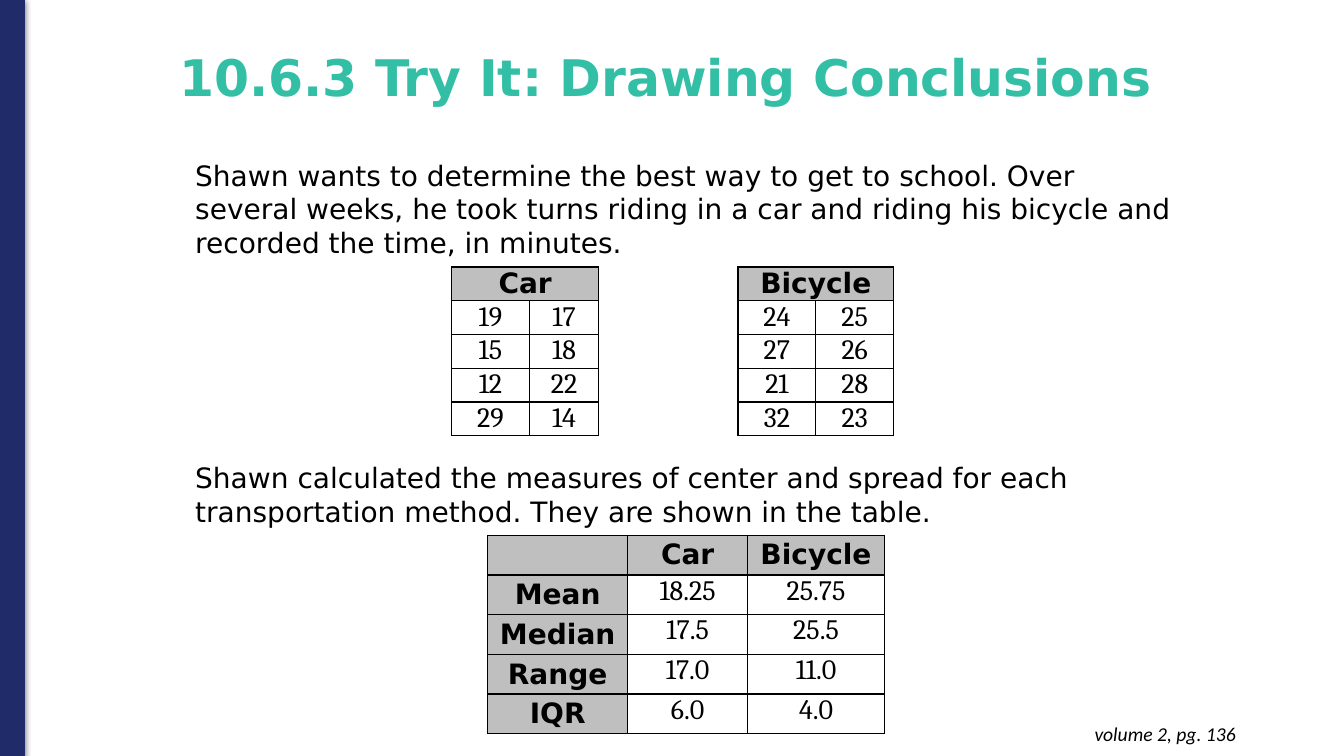
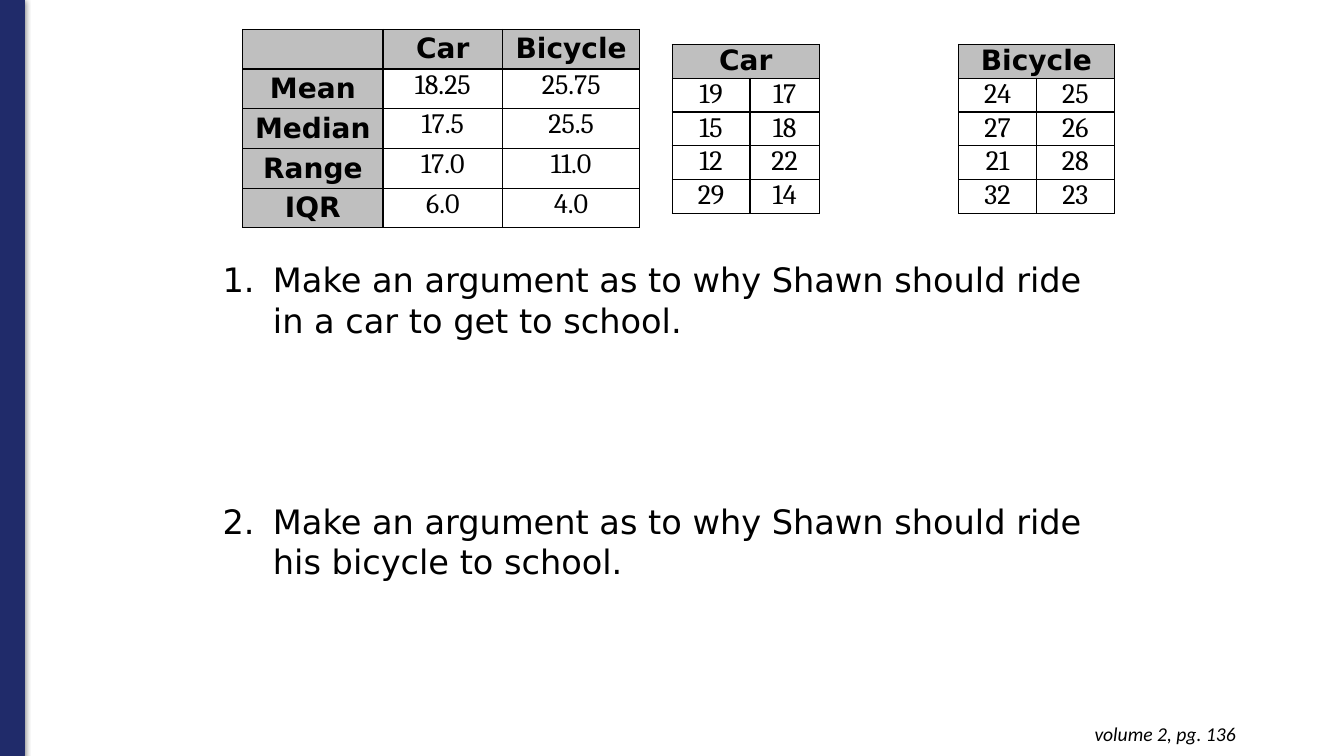
from dataclasses import dataclass

from lxml import etree
from pptx import Presentation
from pptx.dml.color import RGBColor
from pptx.enum.shapes import MSO_SHAPE
from pptx.enum.text import MSO_ANCHOR, PP_ALIGN
from pptx.oxml import parse_xml
from pptx.oxml.ns import nsdecls, qn
from pptx.util import Cm, Pt

# Shared style
NAVY = RGBColor(0x20, 0x2B, 0x6A)
TEAL = RGBColor(0x33, 0xBE, 0xA6)
GRAY = RGBColor(0xBF, 0xBF, 0xBF)
BLACK = RGBColor(0, 0, 0)
SANS, SERIF, FOOTER_FONT = "DejaVu Sans", "Cambria", "Calibri"
LEFT, CENTER, RIGHT = PP_ALIGN.LEFT, PP_ALIGN.CENTER, PP_ALIGN.RIGHT
TOP, MIDDLE = MSO_ANCHOR.TOP, MSO_ANCHOR.MIDDLE
RECTANGLE = MSO_SHAPE.RECTANGLE
SIDES = ("L", "R", "T", "B")


@dataclass(frozen=True)
class TableDesign:
    """Contents and look of a table; lengths are centimetres."""
    rows: tuple
    widths: tuple
    row_height: float
    header_anchor: MSO_ANCHOR
    header_column: bool = False
    gap_column: int | None = None


TIMES = TableDesign(
    rows=(("Car", "", "", "Bicycle", ""),
          ("19", "17", "", "24", "25"),
          ("15", "18", "", "27", "26"),
          ("12", "22", "", "21", "28"),
          ("29", "14", "", "32", "23")),
    widths=(1.96, 1.75, 3.51, 1.96, 1.96),
    row_height=0.85, header_anchor=TOP, gap_column=2)

SUMMARY = TableDesign(
    rows=(("", "Car", "Bicycle"),
          ("Mean", "18.25", "25.75"),
          ("Median", "17.5", "25.5"),
          ("Range", "17.0", "11.0"),
          ("IQR", "6.0", "4.0")),
    widths=(3.53, 3.02, 3.45),
    row_height=1, header_anchor=MIDDLE, header_column=True)


def write(para, text: str, *, size: float = 20, font: str = SANS,
          color: RGBColor = BLACK, bold: bool = False, italic: bool = False,
          align: PP_ALIGN = LEFT, before: float = 0,
          line_spacing: float | None = None) -> None:
    """Put formatted text into a paragraph."""
    para.alignment = align
    if before:
        para.space_before = Pt(before)
    if line_spacing:
        para.line_spacing = line_spacing
    span = para.add_run()
    span.text = text
    span.font.name = font
    span.font.size = Pt(size)
    span.font.color.rgb = color
    span.font.bold = bold
    span.font.italic = italic


def add_text(page, place: tuple, texts: tuple, *, anchor: MSO_ANCHOR = TOP,
             inset: float = 0.13, gap: float = 0, numbered: bool = False,
             **style) -> None:
    """Add a text box; gap is the space in points between paragraphs."""
    box = page.shapes.add_textbox(*(Cm(length) for length in place))
    frame = box.text_frame
    frame.word_wrap = True
    frame.vertical_anchor = anchor
    frame.margin_left = frame.margin_right = Cm(0.25)
    frame.margin_top = frame.margin_bottom = Cm(inset)
    for index, text in enumerate(texts):
        para = frame.add_paragraph() if index else frame.paragraphs[0]
        if numbered:
            number_paragraph(para)
        write(para, text, before=gap if index else 0, **style)


def number_paragraph(para) -> None:
    """Give a paragraph a hanging automatic number."""
    properties = para._p.get_or_add_pPr()
    properties.set("marL", str(Cm(1.27)))
    properties.set("indent", str(-Cm(1.27)))
    number = etree.SubElement(properties, qn("a:buAutoNum"))
    number.set("type", "arabicPeriod")


def set_borders(cell, visible: tuple) -> None:
    """Draw one-point black lines on the named sides, none elsewhere."""
    properties = cell._tc.get_or_add_tcPr()
    for side in SIDES:
        paint = (f'<a:solidFill><a:srgbClr val="{BLACK}"/></a:solidFill>'
                 if side in visible else "<a:noFill/>")
        properties.append(parse_xml(
            f'<a:ln{side} {nsdecls("a")} w="{Pt(1)}">{paint}</a:ln{side}>'))


def add_data_table(page, left: float, top: float, design: TableDesign) -> None:
    """Draw a table with its top left corner at the given place."""
    row_count, column_count = len(design.rows), len(design.widths)
    frame = page.shapes.add_table(
        row_count, column_count, Cm(left), Cm(top),
        Cm(sum(design.widths)), Cm(design.row_height * row_count))
    table = frame.table
    table.first_row = table.horz_banding = False
    for column, width in zip(table.columns, design.widths):
        column.width = Cm(width)
    for row_index, texts in enumerate(design.rows):
        table.rows[row_index].height = Cm(design.row_height)
        for column_index, text in enumerate(texts):
            cell = table.cell(row_index, column_index)
            in_gap = column_index == design.gap_column
            header = not in_gap and (
                row_index == 0 or design.header_column and column_index == 0)
            cell.margin_left = cell.margin_right = Cm(0.17)
            cell.margin_top = cell.margin_bottom = 0
            cell.vertical_anchor = design.header_anchor if header else TOP
            set_borders(cell, ("L", "R") if in_gap else SIDES)
            if header:
                cell.fill.solid()
                cell.fill.fore_color.rgb = GRAY
            else:
                cell.fill.background()
            if text:
                write(cell.text_frame.paragraphs[0], text, align=CENTER,
                      font=SANS if header else SERIF, bold=header)
    # Each group heading spans the two columns beside the gap
    if design.gap_column is not None:
        for start in (0, design.gap_column + 1):
            table.cell(0, start).merge(table.cell(0, start + 1))


def add_page(deck):
    """Add a blank page with the side band."""
    page = deck.slides.add_slide(deck.slide_layouts[6])
    band = page.shapes.add_shape(RECTANGLE, 0, Cm(-0.03), Cm(0.61), Cm(19.08))
    band.shadow.inherit = False
    band.fill.solid()
    band.fill.fore_color.rgb = NAVY
    band.line.color.rgb = NAVY
    band.line.width = Pt(0.75)
    effects = band._element.spPr.find(qn("a:effectLst"))
    effects.append(parse_xml(
        f'<a:outerShdw {nsdecls("a")} blurRad="{Pt(4.5)}" dist="{Pt(1.5)}" '
        f'dir="5400000" rotWithShape="0"><a:srgbClr val="{BLACK}">'
        '<a:alpha val="50000"/></a:srgbClr></a:outerShdw>'))
    return page


def add_footer(page) -> None:
    """Add the page reference at the bottom right."""
    add_text(page, (24.08, 17.93, 7.32, 1.12), ("volume 2, pg. 136",),
             inset=0.25, size=14, font=FOOTER_FONT, italic=True, align=RIGHT)


def build_data_page(deck) -> None:
    page = add_page(deck)
    add_text(page, (4.27, 0.18, 26.54, 3.68),
             ("10.6.3 Try It: Drawing Conclusions",), anchor=MIDDLE,
             size=36, color=TEAL, bold=True, line_spacing=0.9)
    add_text(page, (4.67, 3.86, 25.25, 13.08), (
        "Shawn wants to determine the best way to get to school. Over several "
        "weeks, he took turns riding in a car and riding his bicycle and "
        "recorded the time, in minutes.",
        "Shawn calculated the measures of center and spread for each "
        "transportation method. They are shown in the table."), gap=144)
    add_data_table(page, 11.38, 6.73, TIMES)
    add_data_table(page, 12.29, 13.49, SUMMARY)
    add_footer(page)


def build_question_page(deck) -> None:
    page = add_page(deck)
    add_text(page, (5.36, 6.4, 23.14, 9.5), (
        "Make an argument as to why Shawn should ride in a car to get to "
        "school.",
        "Make an argument as to why Shawn should ride his bicycle to school."),
        gap=115, numbered=True, size=24)
    add_data_table(page, 6.12, 0.74, SUMMARY)
    add_data_table(page, 16.94, 1.12, TIMES)
    add_footer(page)


def main() -> None:
    deck = Presentation()
    deck.slide_width, deck.slide_height = Cm(33.87), Cm(19.05)
    build_data_page(deck)
    build_question_page(deck)
    deck.save("out.pptx")


if __name__ == "__main__":
    main()
